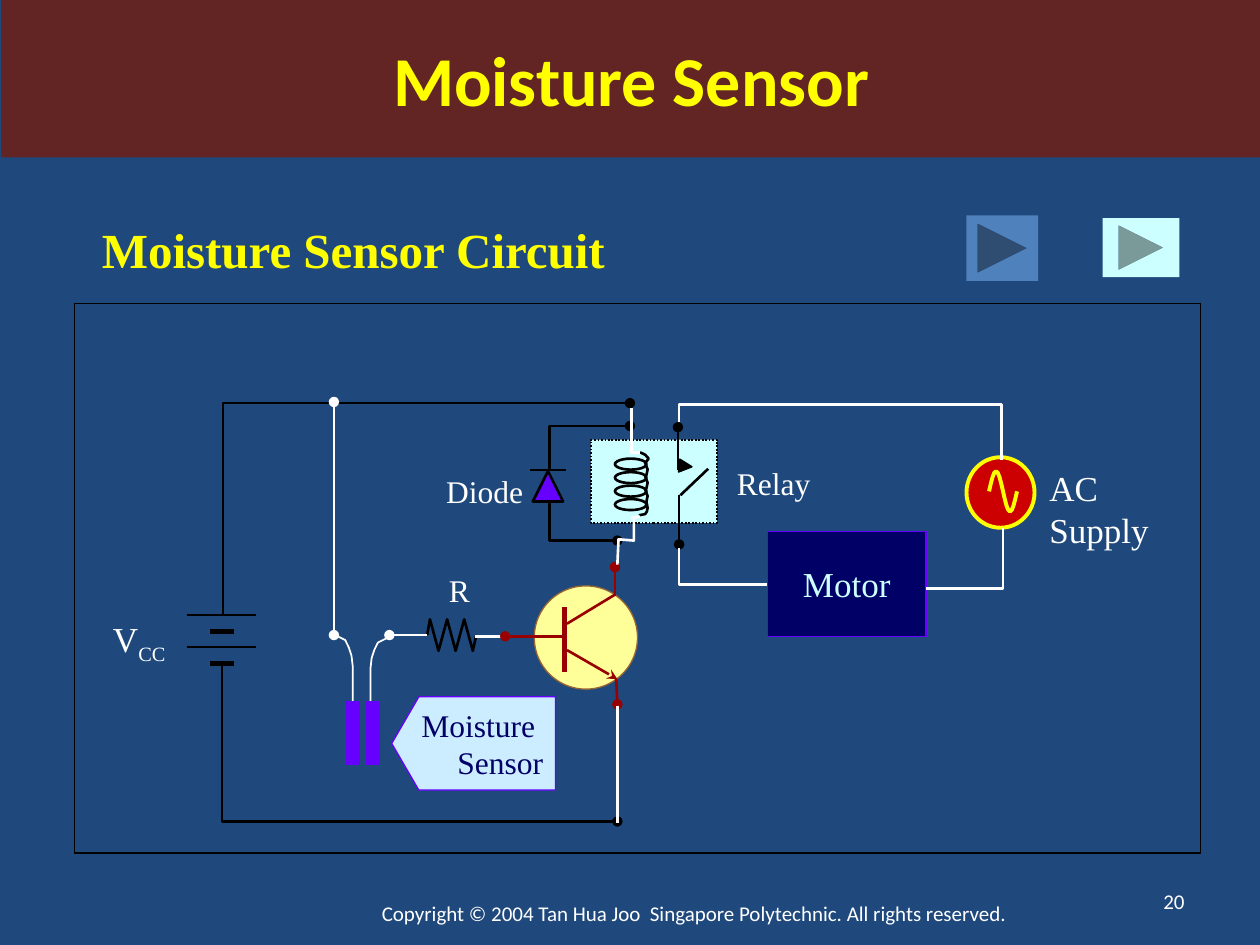
import math

from lxml import etree
from pptx import Presentation
from pptx.dml.color import RGBColor
from pptx.enum import dml, shapes, text
from pptx.oxml import ns
from pptx.util import Pt

SHAPE = shapes.MSO_SHAPE
ALIGN = text.PP_ALIGN
MIDDLE = text.MSO_ANCHOR.MIDDLE
SERIF, SANS = "Times New Roman", "Calibri"
BLACK, WHITE, YELLOW, RED = "000000", "FFFFFF", "FFFF00", "990000"
NAVY, PURPLE, PALE, SLATE = "000066", "6600FF", "CCFFFF", "1F497D"


def paint(target, color):
    """Give a fill or a line format a solid colour, or none."""
    fill = getattr(target, "fill", target)
    if color is None:
        fill.background()
    else:
        fill.solid()
        fill.fore_color.rgb = RGBColor.from_string(color)


def write(box, lines, size, color, font=SERIF, bold=False, align=ALIGN.LEFT,
          anchor=text.MSO_ANCHOR.TOP, wrap=True):
    frame = box.text_frame
    frame.text = "\n".join(lines)
    frame.word_wrap = wrap
    frame.vertical_anchor = anchor
    for para in frame.paragraphs:
        para.alignment = align
        para.font.name, para.font.size, para.font.bold = font, Pt(size), bold
        para.font.color.rgb = RGBColor.from_string(color)


class Pen:
    """Draws on a page with points measured from the given corner."""

    def __init__(self, page, left, top):
        self.shapes, self.left, self.top = page.shapes, left, top

    def at(self, x, y):
        return Pt(self.left + x), Pt(self.top + y)

    def shape(self, kind, x, y, width, height, fill, line=None, weight=0.75):
        shape = self.shapes.add_shape(kind, *self.at(x, y), Pt(width), Pt(height))
        shape.shadow.inherit = False
        paint(shape.fill, fill)
        paint(shape.line, line)
        if line:
            shape.line.width = Pt(weight)
        return shape

    def label(self, lines, x, y, width, height, size, color=WHITE, **style):
        box = self.shapes.add_textbox(*self.at(x, y), Pt(width), Pt(height))
        write(box, lines, size, color, **style)
        return box

    def wire(self, *points, color=BLACK, weight=1.5, head=None, tail=None):
        """Join points by a straight connector or by an open outline."""
        spots = [self.at(*point) for point in points]
        if len(spots) == 2:
            wire = self.shapes.add_connector(
                shapes.MSO_CONNECTOR.STRAIGHT, *spots[0], *spots[1])
        else:
            builder = self.shapes.build_freeform(*spots[0])
            builder.add_line_segments(spots[1:], close=False)
            wire = builder.convert_to_shape()
            paint(wire.fill, None)
        paint(wire.line, color)
        wire.line.width = Pt(weight)
        line = wire.line._get_or_add_ln()
        for tag, mark in (("a:headEnd", head), ("a:tailEnd", tail)):
            if mark:
                etree.SubElement(line, ns.qn(tag), type=mark)
        etree.SubElement(wire._element.spPr, ns.qn("a:effectLst"))


def draw_relay(page, left, top):
    pen = Pen(page, left, top)
    case = pen.shape(SHAPE.RECTANGLE, 0, 0, 72, 47.5, PALE, BLACK, 1)
    case.line.dash_style = dml.MSO_LINE.ROUND_DOT
    for turn in range(4):
        pen.shape(SHAPE.OVAL, 13.7, 10.8 + 7.7 * turn, 18, 6.3, None, BLACK, 1.5)
    bumps = [(x, y + 7.6 * turn) for turn in range(3)
             for x, y in ((31, 13.3), (32.4, 17), (31.7, 20.2))]
    pen.wire((28.1, 7.2), (31, 8.6), (33, 10.8), *bumps,
             (32.4, 39), (32, 41), (31, 42.5), (27.4, 43.2))
    pen.wire((49.7, -7.2), (49.7, 17.3), head="oval")
    pen.shape(SHAPE.ISOSCELES_TRIANGLE, 50.4, 11.5, 7.2, 7.2, BLACK, BLACK, 1).rotation = 95.2
    pen.wire((50.4, 59.8), (50.4, 31.7), head="oval")
    pen.wire((51.1, 31.7), (67, 16.6))
    pen.label(["Relay"], 76.3, 10.1, 56.2, 25.9, 18)


def draw_coil_leads(page, left, top):
    pen = Pen(page, left, top)
    pen.wire((23, -18), (23, 7.2), (28.1, 7.2), color=WHITE)
    pen.wire((23, 44.6), (28.1, 43.9), color=WHITE)
    pen.wire((24.5, 43.9), (24.5, 57.6), (15.8, 56.9), (15.1, 71.3), color=WHITE)


def draw_diode(page, left, top):
    pen = Pen(page, left, top)
    pen.wire((56.9, 0), (10.8, 0), (10.8, 24.5), head="oval")
    pen.wire((49.7, 65.5), (10.8, 65.5), (10.8, 42.5), head="oval")
    pen.shape(SHAPE.ISOSCELES_TRIANGLE, 1.4, 25.9, 17.3, 17.3, PURPLE, BLACK, 1.5)
    pen.wire((0, 25.2), (20.2, 25.2))
    pen.label(["Diode"], -56.9, 23, 59.8, 25.9, 18, align=ALIGN.RIGHT)


def draw_battery(page, left, top):
    pen = Pen(page, left, top)
    pen.wire((20.9, -0.7), (20.9, -121), (253.4, -121), tail="oval")
    pen.wire((20.2, 28.8), (20.2, 118), (246.2, 118), tail="oval")
    for y in (0, 18.4):
        pen.wire((0, y), (39.6, y))
        pen.wire((13.4, y + 9.5), (27, y + 9.5), weight=3)
    box = pen.label(["V"], -51.8, -2.2, 46.8, 43.2, 20, align=ALIGN.RIGHT)
    span = box.text_frame.paragraphs[0].add_run()
    span.text = "CC"
    span._r.get_or_add_rPr().set("baseline", "-25000")


def draw_resistor(page, left, top):
    pen = Pen(page, left, top)
    peaks = [(1.6 + 4.9 * i, 9 if i % 2 else -9) for i in range(6)]
    pen.wire((0, 0), *peaks, (28.1, 0))
    pen.wire((27.4, 0.7), (44.6, 0.7), color=WHITE)
    pen.wire((0, 0), (-21.6, 0), color=WHITE, tail="oval")
    pen.label(["R"], -6.5, -40.3, 49.7, 29.5, 18, align=ALIGN.CENTER)


def draw_transistor(page, left, top):
    pen = Pen(page, left, top)
    pen.shape(SHAPE.OVAL, 0, 0, 59, 59, "FFFF99", "996633")
    pen.wire((18.7, 36.7), (47.5, 53.3), color=RED, tail="stealth")
    pen.wire((18.7, 21.6), (46.1, 5), color=RED)
    pen.wire((-16.6, 28.8), (16.6, 28.8), color=RED, head="oval")
    pen.wire((46.8, 53.3), (47.5, 67.7), color=RED, tail="oval")
    pen.wire((46.1, 5.8), (46.1, -10.8), color=RED, tail="oval")
    pen.wire((17.3, 12.2), (17.3, 49), color=RED, weight=3)
    pen.wire((47.5, 68.4), (47.5, 135.4), color=WHITE)


def draw_probe(page, left, top):
    pen = Pen(page, left, top)
    pen.wire((0, -133.2), (0, 0), color=WHITE, head="oval", tail="oval")
    lead = ((0.7, 0), (6.5, 2.9), (8.6, 7.2), (10.1, 11.9), (10.8, 18), (10.8, 38.2))
    pen.wire(*lead, color=WHITE, weight=1)
    pen.wire(*[(31.7 - x, y + 1.4) for x, y in lead], color=WHITE, weight=1)
    for x in (7.2, 18.7):
        pen.shape(SHAPE.RECTANGLE, x, 38.2, 7.2, 36, PURPLE, PURPLE)
    tag = pen.shape(SHAPE.PENTAGON, 33.1, 35.3, 93.6, 53.3, "CCECFF", PURPLE)
    tag.adjustments[0] = 0.29
    tag._element.spPr.xfrm.set("flipH", "1")
    write(tag, ["Moisture ", "Sensor"], 18, NAVY, align=ALIGN.RIGHT,
          anchor=MIDDLE, wrap=False)


def draw_motor_loop(page, left, top):
    pen = Pen(page, left, top)
    motor = pen.shape(SHAPE.RECTANGLE, 0, 0, 90.7, 59.8, NAVY, PURPLE)
    write(motor, ["Motor"], 20, PALE, align=ALIGN.CENTER, anchor=MIDDLE, wrap=False)
    pen.shape(SHAPE.OVAL, 113.8, -42.5, 38.9, 40.3, "CC0000", YELLOW, 2.25)
    wave = [(126.7 + i, -23 - 11.5 * math.sin(math.pi * i / 8)) for i in range(17)]
    pen.wire(*wave, color=YELLOW, weight=2.25)
    pen.wire((-50.4, -62.6), (-50.4, -72.7), (133.9, -72.7), (133.9, -41), color=WHITE)
    pen.wire((-50.4, 9.4), (-50.4, 30.2), (0, 30.2), color=WHITE)
    pen.wire((134.6, -2.2), (134.6, 32.4), (90.7, 32.4), color=WHITE)
    pen.label(["AC Supply"], 154.1, -41, 77, 69, 20)


def draw_circuit(page, left, top):
    Pen(page, left, top).shape(SHAPE.RECTANGLE, 0, 0, 643.7, 313.9, SLATE, BLACK)
    parts = ((draw_relay, 295.2, 77.8), (draw_diode, 260.6, 69.9),
             (draw_battery, 64.1, 177.9), (draw_resistor, 201.6, 189.4),
             (draw_transistor, 262.8, 161.3), (draw_coil_leads, 295.2, 77.8),
             (draw_probe, 148.3, 189.4), (draw_motor_loop, 396, 130.3))
    for draw, x, y in parts:
        draw(page, left + x, top + y)


def draw_header(page):
    title = page.shapes.title
    title.left, title.top, title.width, title.height = Pt(0.7), Pt(0), Pt(720), Pt(90)
    paint(title.fill, "632523")
    write(title, ["Moisture Sensor"], 40, YELLOW, SANS, True, ALIGN.CENTER, MIDDLE)
    pen = Pen(page, 51.1, 121.7)
    pen.label(["Moisture Sensor Circuit"], 0, 0, 329.8, 41, 28, YELLOW, bold=True)
    pen.shape(SHAPE.ACTION_BUTTON_FORWARD_OR_NEXT, 501.1, 1.4, 41, 37.4, "4F81BD")
    pen.shape(SHAPE.ACTION_BUTTON_FORWARD_OR_NEXT, 578.9, 2.9, 43.9, 33.8, PALE)


def draw_footer(page, left, top):
    pen = Pen(page, left, top)
    notice = "Copyright © 2004 Tan Hua Joo  Singapore Polytechnic. All rights reserved."
    pen.label([notice], 0, 3.6, 515.5, 36, 12, font=SANS, align=ALIGN.CENTER, anchor=MIDDLE)
    pen.label(["20"], 377.2, 0, 167.8, 28.8, 12, font=SANS, align=ALIGN.RIGHT, anchor=MIDDLE)


def main():
    deck = Presentation()
    deck.slide_width, deck.slide_height = Pt(720), Pt(540)
    page = deck.slides.add_slide(deck.slide_layouts[5])
    paint(page.background.fill, SLATE)
    draw_circuit(page, 42.5, 173.5)
    draw_header(page)
    draw_footer(page, 139, 500.4)
    deck.save("out.pptx")


if __name__ == "__main__":
    main()
